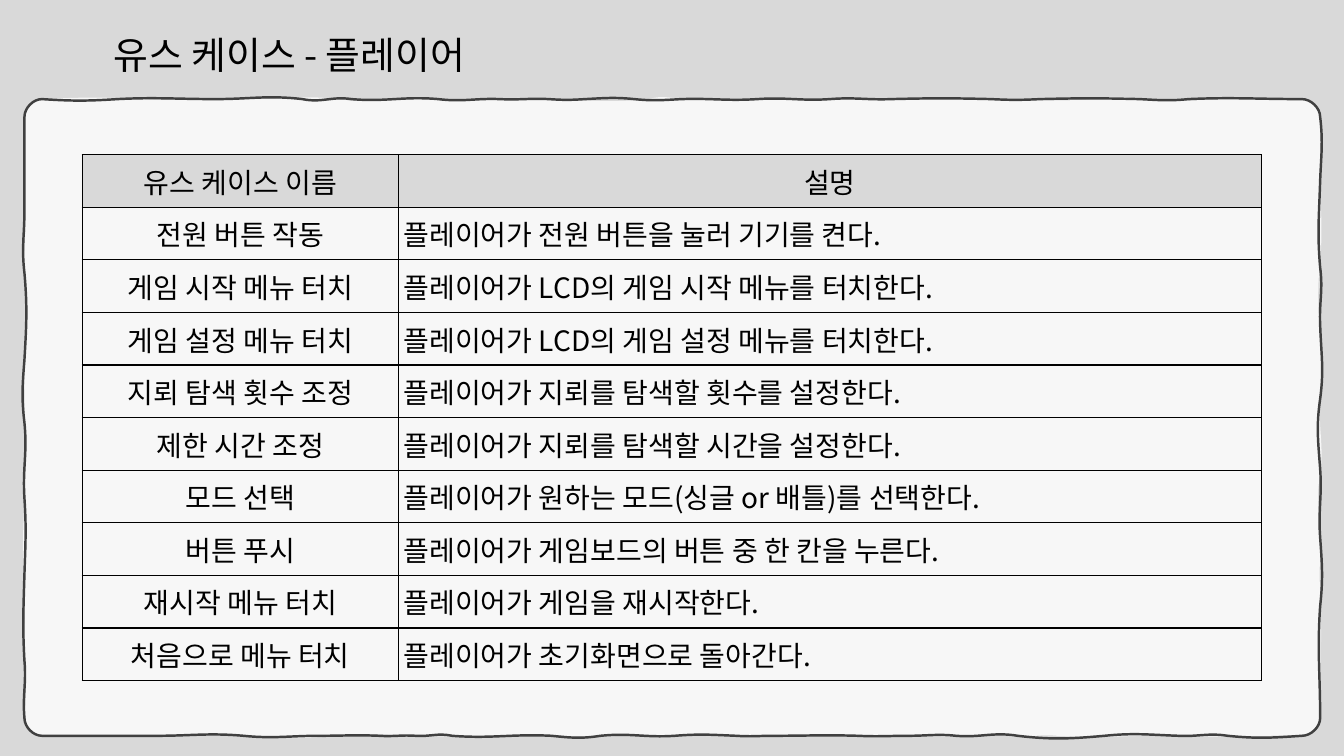
import pptx
import pptx.dml.color
import pptx.enum.text
import pptx.oxml.ns
import pptx.util

Pt = pptx.util.Pt
ALIGN = pptx.enum.text.PP_ALIGN
FONT = "Noto Sans CJK KR"
COLORS = {
    "background": "D9D9D9",
    "header": "D9D9D9",
    "panel": "FFFFFF",
    "outline": "404040",
    "ink": "000000",
}
LEFT, TOP, RIGHT, BOTTOM = 17.5, 70.8, 943, 525.6
SWAY = 0.72
# Sides run clockwise from the top; each knot is (place along the side, sway).
PAPER_KNOTS = [
    [(30, -2), (102, 2), (145, 0), (180, 0), (242, 4), (286, -1), (357, -2), (392, 1),
     (463, -4), (489, 1), (541, -2), (595, -1), (639, 0), (709, 0), (780, -3),
     (815, 3), (868, -2), (930, 0)],
    [(83.5, 0), (125, 0), (186, -3), (240, 2), (285, -2), (339, -4), (379, 2),
     (420, 2), (513, 0)],
    [(930, -1), (904, 0), (842, -2), (816, 1), (755, -2), (719, -3), (693, 1),
     (659, -1), (597, -1), (562, 1), (536, 0), (501, -1), (457, 0), (404, -1),
     (369, 1), (298, -1), (246, 3), (174, -3), (112, 2), (30, 0)],
    [(513, 2), (463, -2), (423, -2), (360, 2), (307, 1), (245, 1), (195, -2),
     (150, -3), (83.5, 0)],
]
OUTLINE_KNOTS = [
    [(30, 2), (84, -2), (154, 0), (216, 4), (251, 3), (313, 3), (357, 1), (392, 1),
     (418, -1), (453, 2), (487, -1), (541, -2), (593, -2), (637, -1), (708, 1),
     (743, -1), (814, 1), (849, -2), (930, 0)],
    [(83.5, 3), (129, -1), (191, 3), (232, 1), (285, -4), (335, 2), (384, 2),
     (433, -3), (513, 0)],
    [(930, 2), (877, -3), (842, -1), (789, 3), (727, -4), (683, -2), (649, 0),
     (613, -1), (552, 0), (526, -1), (482, 2), (429, 3), (394, -2), (323, -3),
     (297, -1), (271, -1), (228, 0), (174, -3), (112, 0), (30, 0)],
    [(513, -2), (472, -2), (410, 1), (356, -2), (302, -3), (257, 2), (195, -3),
     (150, 0), (83.5, 0)],
]
INSET = 3.6
ROW_HEIGHT = 37.57
COLUMN_WIDTHS = (226, 616.3)
USE_CASES = [
    ("유스 케이스 이름", "설명"),
    ("전원 버튼 작동", "플레이어가 전원 버튼을 눌러 기기를 켠다."),
    ("게임 시작 메뉴 터치", "플레이어가 LCD의 게임 시작 메뉴를 터치한다."),
    ("게임 설정 메뉴 터치", "플레이어가 LCD의 게임 설정 메뉴를 터치한다."),
    ("지뢰 탐색 횟수 조정", "플레이어가 지뢰를 탐색할 횟수를 설정한다."),
    ("제한 시간 조정", "플레이어가 지뢰를 탐색할 시간을 설정한다."),
    ("모드 선택", "플레이어가 원하는 모드(싱글 or 배틀)를 선택한다."),
    ("버튼 푸시", "플레이어가 게임보드의 버튼 중 한 칸을 누른다."),
    ("재시작 메뉴 터치", "플레이어가 게임을 재시작한다."),
    ("처음으로 메뉴 터치", "플레이어가 초기화면으로 돌아간다."),
]


def rgb(name):
    return pptx.dml.color.RGBColor.from_string(COLORS[name])


def add_xml(parent, tag, **attributes):
    child = parent.makeelement(pptx.oxml.ns.qn(tag), attributes)
    parent.append(child)
    return child


def write(frame, words, size, align=ALIGN.LEFT):
    frame.text = words
    paragraph = frame.paragraphs[0]
    paragraph.alignment = align
    paragraph.font.size = Pt(size)
    paragraph.font.color.rgb = rgb("ink")
    paragraph.font.name = FONT
    add_xml(paragraph.font._element, "a:ea", typeface=FONT)


def set_margins(holder):
    holder.margin_left = holder.margin_right = Pt(INSET)
    holder.margin_top = holder.margin_bottom = Pt(INSET)


def curves_round_panel(sides):
    """Cubic curves (control, control, end), clockwise from the left side's top."""
    edges = (TOP, RIGHT, BOTTOM, LEFT)
    curves = []
    for number, knots in enumerate(sides):
        def place(along, sway=0):
            across = edges[number] + sway * SWAY
            return (across, along) if number % 2 else (along, across)

        before, after = edges[number - 1], knots[0][0]
        corner_start = curves[-1][2] if curves else (LEFT, sides[3][-1][0])
        corner = place(before)
        curves.append((midway(corner_start, corner), midway(place(after), corner),
                       place(after)))
        for (start, sway), (end, next_sway) in zip(knots, knots[1:]):
            reach = 0.4 * (end - start)
            curves.append((place(start + reach, sway), place(end - reach, -next_sway),
                           place(end)))
    return curves


def midway(a, b):
    return (a[0] + b[0]) / 2, (a[1] + b[1]) / 2


def add_hand_drawn_panel(slide, sides):
    curves = curves_round_panel(sides)
    start_x, start_y = curves[-1][2]
    builder = slide.shapes.build_freeform(Pt(start_x), Pt(start_y))
    builder.add_line_segments([(Pt(x), Pt(y)) for _, _, (x, y) in curves], close=True)
    panel = builder.convert_to_shape()
    panel.shadow.inherit = False
    straights = list(panel._element.iter(pptx.oxml.ns.qn("a:lnTo")))
    for straight, curve in zip(straights, curves):
        bend = straight.makeelement(pptx.oxml.ns.qn("a:cubicBezTo"), {})
        for x, y in curve:
            add_xml(bend, "a:pt", x=str(Pt(x - LEFT)), y=str(Pt(y - TOP)))
        straight.getparent().replace(straight, bend)
    return panel


def add_panel(slide):
    paper = add_hand_drawn_panel(slide, PAPER_KNOTS)
    paper.fill.solid()
    paper.fill.fore_color.rgb = rgb("panel")
    paper.line.fill.background()
    color = paper._element.spPr.find(".//" + pptx.oxml.ns.qn("a:srgbClr"))
    add_xml(color, "a:alpha", val="80000")

    outline = add_hand_drawn_panel(slide, OUTLINE_KNOTS)
    outline.fill.background()
    outline.line.color.rgb = rgb("outline")
    outline.line.width = Pt(1.75)


def add_title(slide, words):
    title = slide.shapes.add_textbox(Pt(77.4), Pt(19), Pt(316.8), Pt(41))
    title.text_frame.word_wrap = True
    set_margins(title.text_frame)
    write(title.text_frame, words, 27)


def add_borders(cell):
    properties = cell._tc.get_or_add_tcPr()
    for side in ("a:lnL", "a:lnR", "a:lnT", "a:lnB"):
        border = add_xml(properties, side, w=str(Pt(1)))
        add_xml(add_xml(border, "a:solidFill"), "a:srgbClr", val=COLORS["ink"])


def add_use_case_table(slide):
    table = slide.shapes.add_table(
        len(USE_CASES), len(COLUMN_WIDTHS), Pt(58.7), Pt(110.5),
        Pt(sum(COLUMN_WIDTHS)), Pt(ROW_HEIGHT * len(USE_CASES))).table
    table.first_row = table.horz_banding = False
    for column, width in zip(table.columns, COLUMN_WIDTHS):
        column.width = Pt(width)
    for r, use_case in enumerate(USE_CASES):
        table.rows[r].height = Pt(ROW_HEIGHT)
        for c, words in enumerate(use_case):
            cell = table.cell(r, c)
            centred = r == 0 or c == 0
            write(cell.text_frame, words, 20, ALIGN.CENTER if centred else ALIGN.LEFT)
            set_margins(cell)
            cell.vertical_anchor = pptx.enum.text.MSO_ANCHOR.MIDDLE
            add_borders(cell)
            if r == 0:
                cell.fill.solid()
                cell.fill.fore_color.rgb = rgb("header")
            else:
                cell.fill.background()


def main():
    deck = pptx.Presentation()
    deck.slide_width, deck.slide_height = Pt(960), Pt(540)
    slide = deck.slides.add_slide(deck.slide_layouts[6])
    slide.background.fill.solid()
    slide.background.fill.fore_color.rgb = rgb("background")
    add_panel(slide)
    add_title(slide, "유스 케이스 - 플레이어")
    add_use_case_table(slide)
    deck.save("out.pptx")


if __name__ == "__main__":
    main()
